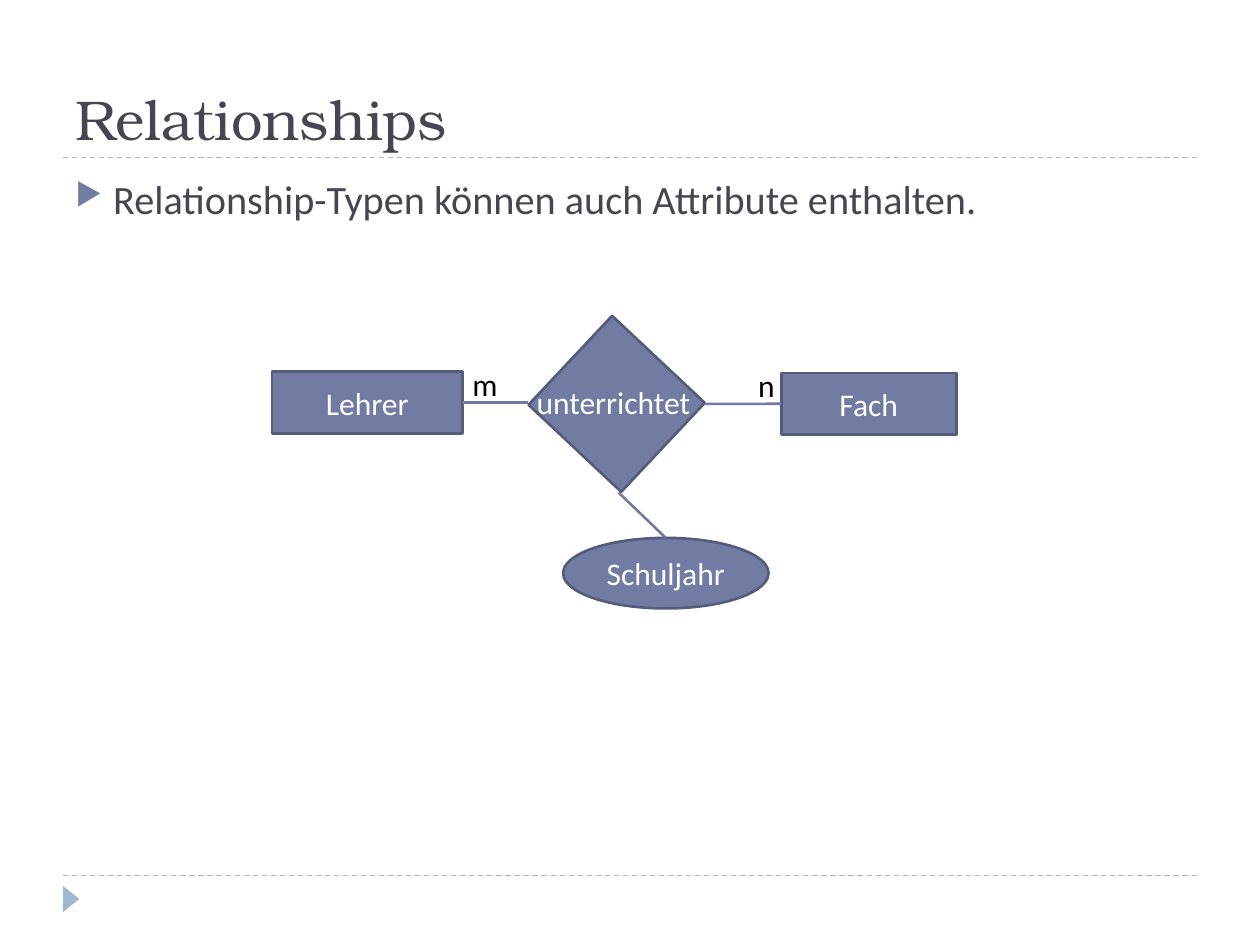
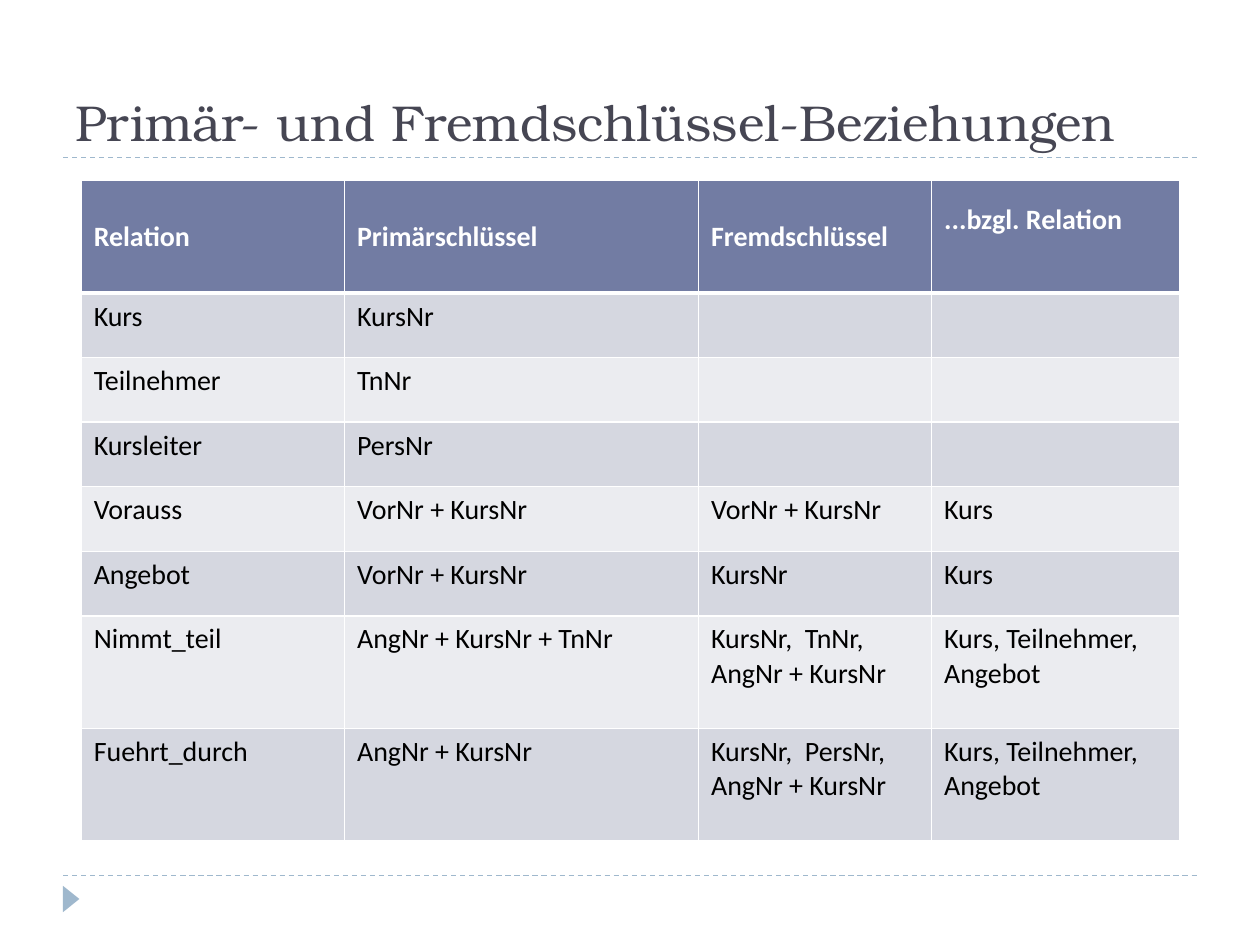
from dataclasses import dataclass

from lxml.etree import SubElement
from pptx import Presentation
from pptx.dml.color import RGBColor as RGB
from pptx.enum.dml import MSO_LINE as Dash
from pptx.enum.shapes import MSO_CONNECTOR as Conn, MSO_SHAPE as Shape
from pptx.enum.text import MSO_ANCHOR as Anchor, PP_ALIGN as Align
from pptx.oxml import parse_xml
from pptx.oxml.ns import nsdecls, qn
from pptx.util import Pt


@dataclass(frozen=True)
class Theme:
    """Colours, fonts and type sizes of the deck."""
    ink: str = "464653"
    main: str = "727CA3"
    edge: str = "545C79"
    accent: str = "9FB8CD"
    white: str = "FFFFFF"
    black: str = "000000"
    bands: tuple = ("D5D7E0", "EBECF0")
    head_font: str = "TeX Gyre Bonum"
    body_font: str = "Calibri"
    title: float = 32
    title_small: float = 28.8
    body: float = 23
    label: float = 18
    cell: float = 16


T = Theme()
TITLE_BOX = (36, 12.2, 648, 77.8)
BODY_BOX = (36, 95.8, 648, 388.8)
DIAGRAM_BOX = (155.5, 194, 391, 154)
TABLE_BOX = (46.4, 103.2, 627.6, 377.4)

HEADER = ("Relation", "Primärschlüssel", "Fremdschlüssel", "...bzgl. Relation")
RELATIONS = (
    ("Kurs", "KursNr", "", ""),
    ("Teilnehmer", "TnNr", "", ""),
    ("Kursleiter", "PersNr", "", ""),
    ("Vorauss", "VorNr + KursNr", "VorNr + KursNr", "Kurs"),
    ("Angebot", "VorNr + KursNr", "KursNr", "Kurs"),
    ("Nimmt_teil", "AngNr + KursNr + TnNr", "KursNr,  TnNr, AngNr + KursNr",
     "Kurs, Teilnehmer, Angebot"),
    ("Fuehrt_durch", "AngNr + KursNr", "KursNr,  PersNr, AngNr + KursNr",
     "Kurs, Teilnehmer, Angebot"),
)
COL_WIDTHS = (150.5, 202.3, 133.2, 141.6)
ROW_HEIGHTS = (64.3, *[36.9] * 5, 64.3, 64.3)


def pts(*values):
    """Turn numbers into point lengths."""
    return [Pt(v) for v in values]


def put(obj, **values):
    """Set each given attribute on the object."""
    for name, value in values.items():
        setattr(obj, name, value)


def write(tf, text, size, color, font=T.body_font, bold=False, align=Align.LEFT):
    """Write one formatted paragraph and return it."""
    p = tf.paragraphs[0]
    p.alignment = align
    r = p.add_run()
    r.text = text
    put(r.font, name=font, size=Pt(size), bold=bold)
    r.font.color.rgb = RGB.from_string(color)
    return p


def add_text(s, box, text, size, color, wrap=True, anchor=Anchor.TOP, **style):
    """Add a text box and return its paragraph."""
    tf = s.shapes.add_textbox(*pts(*box)).text_frame
    put(tf, word_wrap=wrap, vertical_anchor=anchor)
    return write(tf, text, size, color, **style)


def add_node(s, kind, box, text="", fill=T.main, edge=T.edge, rotation=0):
    """Add a filled shape with an optional centred label."""
    sp = s.shapes.add_shape(kind, *pts(*box))
    sp.rotation = rotation
    sp.shadow.inherit = False
    sp.fill.solid()
    sp.fill.fore_color.rgb = RGB.from_string(fill)
    if edge:
        sp.line.color.rgb = RGB.from_string(edge)
        sp.line.width = Pt(1.5)
    else:
        sp.line.fill.background()
    if text:
        sp.text_frame.vertical_anchor = Anchor.MIDDLE
        write(sp.text_frame, text, T.label, T.white, align=Align.CENTER)
    return sp


def add_line(s, start, end, color=T.main, width=1.5, dash=None):
    """Add a straight line without shadow."""
    line = s.shapes.add_connector(Conn.STRAIGHT, *pts(*start, *end))
    line.line.color.rgb = RGB.from_string(color)
    put(line.line, width=Pt(width), dash_style=dash)
    SubElement(line._element.spPr, qn("a:effectLst"))
    return line


def add_frame(prs, title, size):
    """Add a slide with its rules, corner marker and title."""
    s = prs.slides.add_slide(prs.slide_layouts[6])
    for y in (500.4, 90):
        add_line(s, (36, y), (684, y), T.accent, 0.75, Dash.DASH)
    add_node(s, Shape.ISOSCELES_TRIANGLE, (33.1, 509, 15.1, 9.4),
             fill=T.accent, edge=None, rotation=90)
    add_text(s, TITLE_BOX, title, size, T.ink,
             font=T.head_font, anchor=Anchor.BOTTOM)
    return s


def add_bullet(s, box, text):
    """Add a paragraph with a triangular bullet."""
    p = add_text(s, box, text, T.body, T.ink)
    p.space_before = Pt(6)
    pPr = p._p.get_or_add_pPr()
    pPr.set("marL", str(Pt(21.6)))
    pPr.set("indent", str(-Pt(21.6)))
    SubElement(SubElement(pPr, qn("a:buClr")), qn("a:srgbClr"), val=T.main)
    SubElement(pPr, qn("a:buSzPct"), val="76000")
    SubElement(pPr, qn("a:buChar"), char="▶")


def add_er_diagram(s, box):
    """Draw two entities, their relationship and its attribute."""
    x, y = box[:2]

    def at(left, top, *size):
        """Shift a place into the diagram box."""
        return (x + left, y + top, *size)

    teacher = add_node(s, Shape.RECTANGLE, at(0, 18.4, 108.7, 35.3), "Lehrer")
    add_node(s, Shape.RECTANGLE, at(162, 0.4, 69.8, 72.7), rotation=313.2)
    add_text(s, at(144, 21.3, 108.7, 28.8), "unterrichtet", T.label, T.white)
    subject = add_node(s, Shape.RECTANGLE, at(290.9, 19.1, 100.1, 35.3), "Fach")
    add_line(s, at(108.7, 36), at(146.2, 36)).begin_connect(teacher, 3)
    add_line(s, at(247.7, 36.8), at(290.9, 36.8)).end_connect(subject, 1)
    for left, top, text in ((107.3, 11.2, "m"), (270.7, 11.9, "n")):
        add_text(s, at(left, top, 30, 28.8), text, T.label, T.black, wrap=False)
    year = add_node(s, Shape.OVAL, at(166.3, 113.4, 117.4, 40.3), "Schuljahr")
    add_line(s, at(198, 87.5), at(225, 113.4)).end_connect(year, 0)


def style_cell(cell, fill, top, bottom):
    """Fill a cell and draw its white borders."""
    cell.fill.solid()
    cell.fill.fore_color.rgb = RGB.from_string(fill)
    tcPr = cell._tc.get_or_add_tcPr()
    for i, (side, width) in enumerate(zip("LRTB", (1, 1, top, bottom))):
        tcPr.insert(i, parse_xml(
            f'<a:ln{side} {nsdecls("a")} w="{Pt(width)}"><a:solidFill>'
            f'<a:srgbClr val="{T.white}"/></a:solidFill></a:ln{side}>'))


def add_key_table(s, box):
    """Add the table of primary and foreign keys."""
    rows = (HEADER, *RELATIONS)
    table = s.shapes.add_table(len(rows), len(HEADER), *pts(*box)).table
    for col, width in zip(table.columns, COL_WIDTHS):
        col.width = Pt(width)
    for i, (row, texts) in enumerate(zip(table.rows, rows)):
        row.height = Pt(ROW_HEIGHTS[i])
        head = i == 0
        fill = T.main if head else T.bands[(i - 1) % 2]
        for cell, text in zip(row.cells, texts):
            style_cell(cell, fill, 3 if i == 1 else 1, 3 if head else 1)
            cell.vertical_anchor = Anchor.MIDDLE if head else Anchor.TOP
            if text:
                write(cell.text_frame, text, T.cell,
                      T.white if head else T.black, bold=head)
    table.cell(0, 3).margin_bottom = Pt(23)


def main():
    """Build and save both slides."""
    prs = Presentation()
    put(prs, slide_width=Pt(720), slide_height=Pt(540))
    s = add_frame(prs, "Relationships", T.title)
    add_bullet(s, BODY_BOX, "Relationship-Typen können auch Attribute enthalten.")
    add_er_diagram(s, DIAGRAM_BOX)
    s = add_frame(prs, "Primär- und Fremdschlüssel-Beziehungen", T.title_small)
    add_key_table(s, TABLE_BOX)
    prs.save("out.pptx")


if __name__ == "__main__":
    main()
